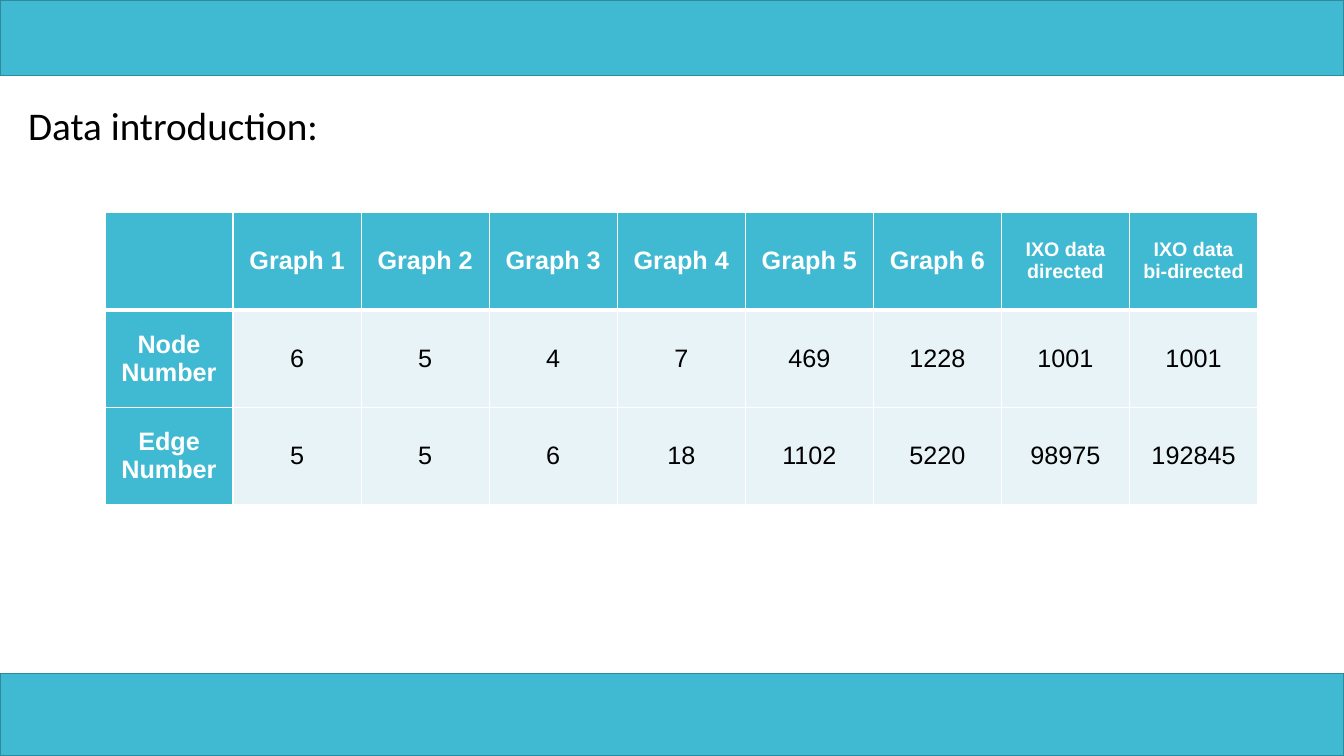
from pptx import Presentation
from pptx.dml.color import RGBColor
from pptx.enum.shapes import MSO_SHAPE
from pptx.enum.text import MSO_ANCHOR, MSO_AUTO_SIZE, PP_ALIGN
from pptx.oxml import parse_xml
from pptx.oxml.ns import nsdecls
from pptx.util import Pt

RECT = MSO_SHAPE.RECTANGLE
MIDDLE = MSO_ANCHOR.MIDDLE
CENTER = PP_ALIGN.CENTER
FIT_TEXT = MSO_AUTO_SIZE.SHAPE_TO_FIT_TEXT

WIDTH, HEIGHT = 960, 540
TEAL, TEAL_DARK, PALE = "40BAD2", "2F8A9B", "E8F3F7"
WHITE, BLACK = "FFFFFF", "000000"

COL_WIDTH, ROW_HEIGHT = 91.5, 69.7
ROWS = [
    ["", *(f"Graph {i}" for i in range(1, 7)),
     "IXO data\ndirected", "IXO data\nbi-directed"],
    ["Node\nNumber", "6", "5", "4", "7", "469", "1228", "1001", "1001"],
    ["Edge\nNumber", "5", "5", "6", "18", "1102", "5220", "98975", "192845"],
]


def rgb(color):
    return RGBColor.from_string(color)


def set_font(p, name, size, color, bold=False):
    p.font.name = name
    p.font.size = Pt(size)
    p.font.bold = bold
    p.font.color.rgb = rgb(color)


def add_bar(s, top, height):
    sp = s.shapes.add_shape(RECT, 0, Pt(top), Pt(WIDTH), Pt(height))
    sp.shadow.inherit = False
    sp.fill.solid()
    sp.fill.fore_color.rgb = rgb(TEAL)
    sp.line.color.rgb = rgb(TEAL_DARK)
    sp.line.width = Pt(0.85)


def add_title(s, text, left, top, width, height):
    sp = s.shapes.add_textbox(Pt(left), Pt(top), Pt(width), Pt(height))
    tf = sp.text_frame
    tf.word_wrap = True
    tf.auto_size = FIT_TEXT
    tf.text = text
    set_font(tf.paragraphs[0], "Calibri", 28, BLACK)


def set_borders(cell, top, bottom):
    tc_pr = cell._tc.get_or_add_tcPr()
    for side, width in (("L", 1), ("R", 1), ("T", top), ("B", bottom)):
        tc_pr.append(parse_xml(
            f'<a:ln{side} {nsdecls("a")} w="{Pt(width)}"><a:solidFill>'
            f'<a:srgbClr val="{WHITE}"/></a:solidFill></a:ln{side}>'))


def fill_cell(cell, text, row, col):
    header = row == 0 or col == 0
    # The rule under the header row is thicker than the others
    set_borders(cell, 3 if row == 1 else 1, 3 if row == 0 else 1)
    cell.fill.solid()
    cell.fill.fore_color.rgb = rgb(TEAL if header else PALE)
    cell.vertical_anchor = MIDDLE
    cell.text = text
    size = 14 if row == 0 and "\n" in text else 18
    for p in cell.text_frame.paragraphs:
        p.alignment = CENTER
        set_font(p, "Arial", size, WHITE if header else BLACK, header)


def add_data_table(s, left, top):
    n_rows, n_cols = len(ROWS), len(ROWS[0])
    table = s.shapes.add_table(
        n_rows, n_cols, Pt(left), Pt(top),
        Pt(n_cols * COL_WIDTH), Pt(n_rows * ROW_HEIGHT)).table
    for column in table.columns:
        column.width = Pt(COL_WIDTH)
    for i, texts in enumerate(ROWS):
        table.rows[i].height = Pt(ROW_HEIGHT)
        for j, text in enumerate(texts):
            fill_cell(table.cell(i, j), text, i, j)


def main():
    prs = Presentation()
    prs.slide_width, prs.slide_height = Pt(WIDTH), Pt(HEIGHT)
    s = prs.slides.add_slide(prs.slide_layouts[6])

    # Bars along the top and bottom edges
    add_bar(s, 0, 54)
    add_bar(s, 481, 59)

    # Heading and graph sizes
    add_title(s, "Data introduction:", 13, 69, 450, 41)
    add_data_table(s, 75, 151.5)

    prs.save("out.pptx")


if __name__ == "__main__":
    main()
